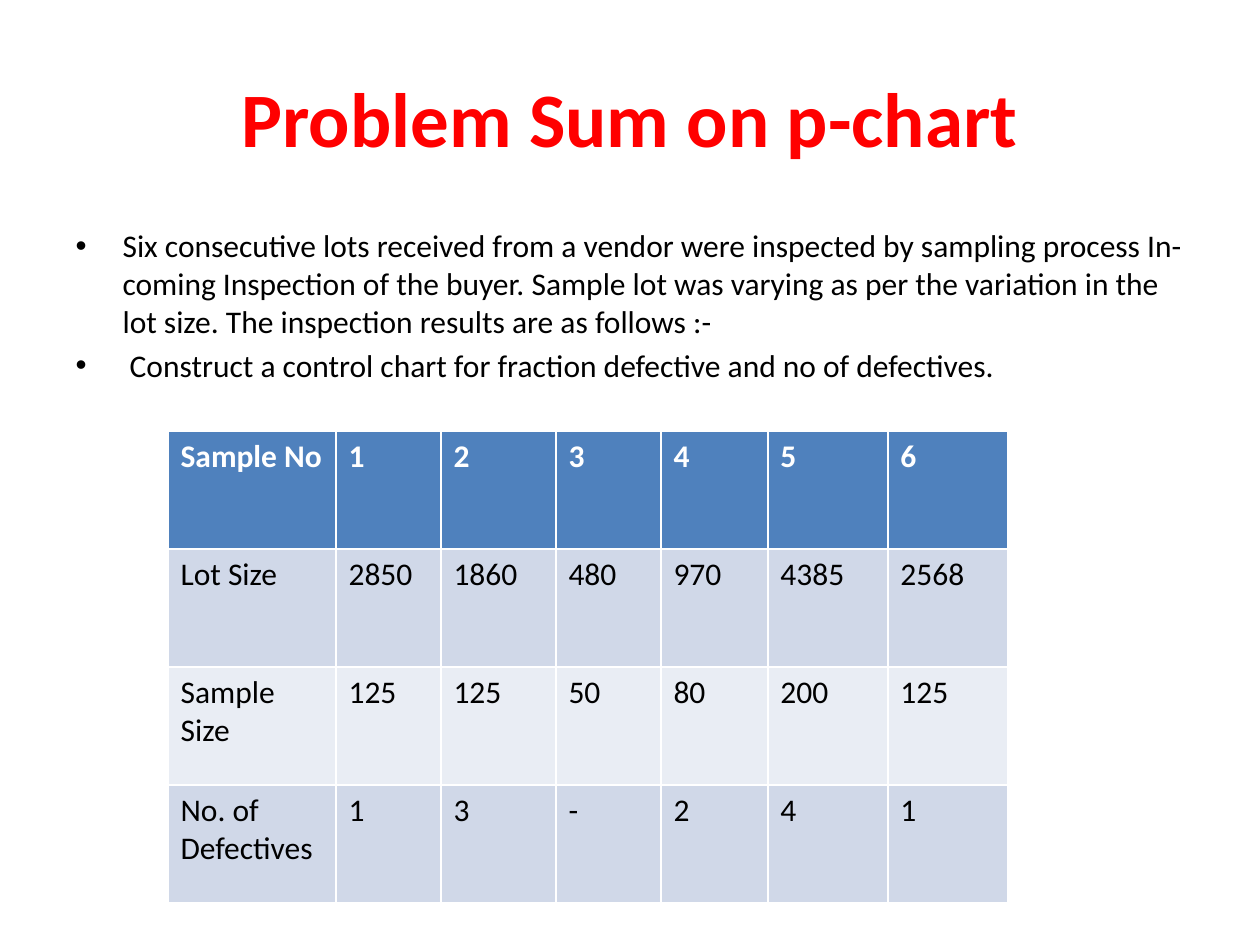
from pptx import Presentation
from pptx.dml.color import RGBColor
from pptx.enum.text import MSO_ANCHOR, PP_ALIGN
from pptx.util import Pt

EMU_PER_PX = 914400 / 126
MIDDLE, TOP = MSO_ANCHOR.MIDDLE, MSO_ANCHOR.TOP
CENTER = PP_ALIGN.CENTER

RED = RGBColor(0xFF, 0x00, 0x00)
BLACK = RGBColor(0x00, 0x00, 0x00)
WHITE = RGBColor(0xFF, 0xFF, 0xFF)
HEADER_BLUE = RGBColor(0x4F, 0x81, 0xBD)
BAND_DARK = RGBColor(0xD0, 0xD8, 0xE8)
BAND_LIGHT = RGBColor(0xE9, 0xED, 0xF4)

BULLETS = [
    "Six consecutive lots received from a vendor were inspected by sampling "
    "process In-coming Inspection of the buyer. Sample lot was varying as per "
    "the variation in the lot size. The inspection results are as follows :-",
    " Construct a control chart for fraction defective and no of defectives.",
]
INSPECTION = [
    ["Sample No", "1", "2", "3", "4", "5", "6"],
    ["Lot Size", "2850", "1860", "480", "970", "4385", "2568"],
    ["Sample Size", "125", "125", "50", "80", "200", "125"],
    ["No. of Defectives", "1", "3", "-", "2", "4", "1"],
]
ROW_FILLS = [HEADER_BLUE, BAND_DARK, BAND_LIGHT, BAND_DARK]
COLUMN_WIDTHS = [168, 105, 115, 105, 107, 120, 120]
ROW_HEIGHT = 118
BULLET_INDENT = 47


def px(length):
    return round(length * EMU_PER_PX)


def format_runs(para, size, color, bold=False):
    for span in para.runs:
        span.font.name = "Calibri"
        span.font.size = Pt(size)
        span.font.bold = bold
        span.font.color.rgb = color


deck = Presentation()
deck.slide_width, deck.slide_height = px(1260), px(945)
page = deck.slides.add_slide(deck.slide_layouts[1])

# Title and bullets
title, body = page.shapes.title, page.placeholders[1]
for box, top, height in [(title, 38, 157), (body, 220, 624)]:
    box.left, box.top, box.width, box.height = px(63), px(top), px(1134), px(height)

title.text_frame.text = "Problem Sum on p-chart"
title.text_frame.vertical_anchor = MIDDLE
title.text_frame.paragraphs[0].alignment = CENTER
format_runs(title.text_frame.paragraphs[0], 44, RED, bold=True)

body.text_frame.text = "\n".join(BULLETS)
body.text_frame.vertical_anchor = TOP
for para in body.text_frame.paragraphs:
    format_runs(para, 18, BLACK)
    properties = para._p.get_or_add_pPr()
    properties.set("marL", str(px(BULLET_INDENT)))
    properties.set("indent", str(-px(BULLET_INDENT)))

# Inspection results; the default table style draws the white rules
table = page.shapes.add_table(
    len(INSPECTION), len(COLUMN_WIDTHS), px(168), px(431),
    px(sum(COLUMN_WIDTHS)), px(ROW_HEIGHT * len(INSPECTION))).table
for column, width in zip(table.columns, COLUMN_WIDTHS):
    column.width = px(width)
for row, values, fill in zip(table.rows, INSPECTION, ROW_FILLS):
    row.height = px(ROW_HEIGHT)
    is_header = fill == HEADER_BLUE
    for cell, value in zip(row.cells, values):
        cell.fill.solid()
        cell.fill.fore_color.rgb = fill
        cell.text_frame.text = value
        format_runs(cell.text_frame.paragraphs[0], 18,
                    WHITE if is_header else BLACK, bold=is_header)

deck.save("out.pptx")
